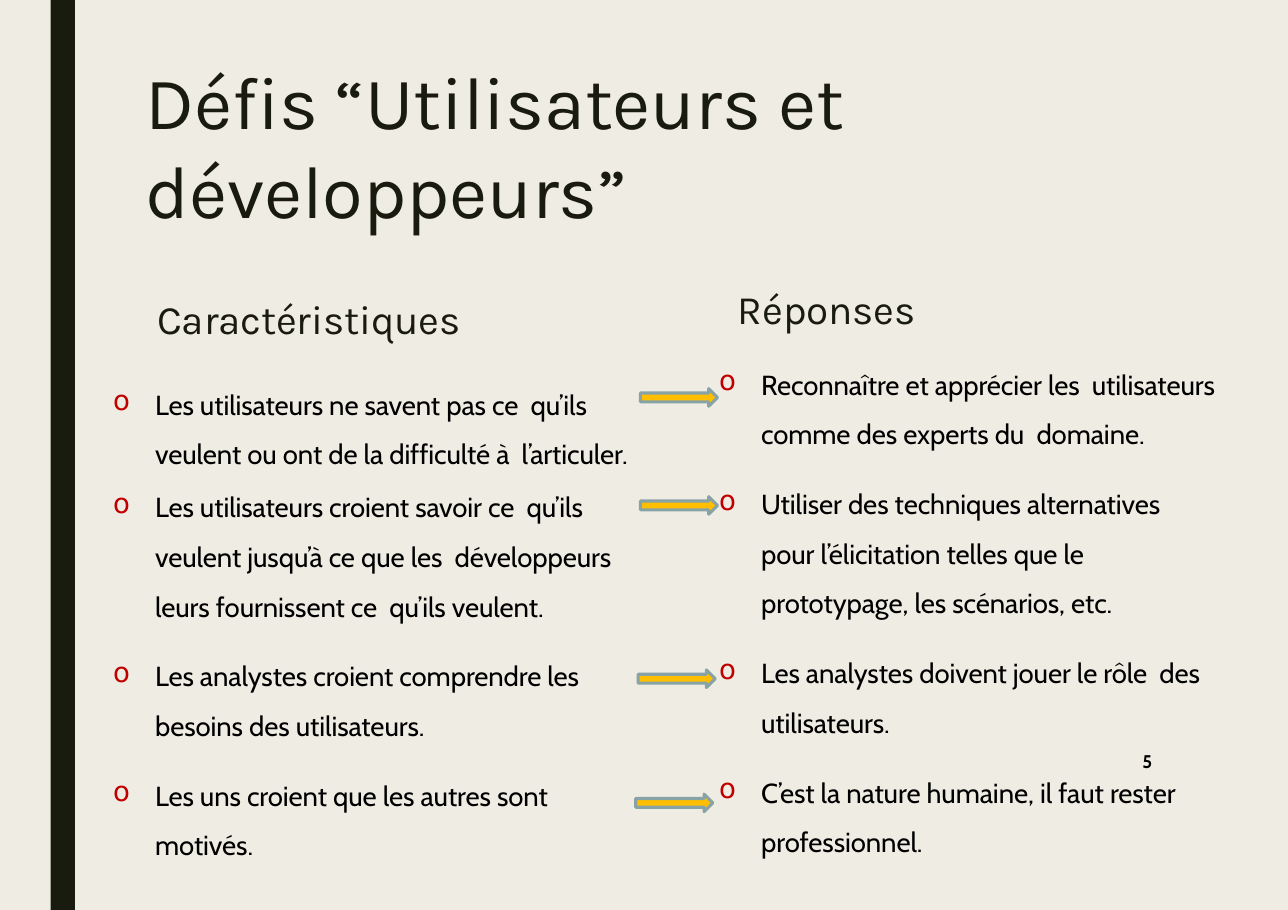
from lxml.etree import SubElement
from pptx import Presentation
from pptx.dml.color import RGBColor
from pptx.enum.shapes import MSO_SHAPE as Preset
from pptx.enum.text import MSO_ANCHOR as Anchor
from pptx.oxml.ns import qn
from pptx.util import Pt

INK, BLACK, RED = "191B0E", "000000", "C00000"
CREAM, GOLD, TEAL = "EFEDE3", "FFBF00", "88A3A6"
BULLET_INDENT = 28

# Each item: text, space before, right indent.
CHARACTERISTICS = [
    ("Les utilisateurs ne savent pas ce  qu’ils veulent ou ont de la "
     "difficulté à  l’articuler.", 12.3, 0),
    ("Les utilisateurs croient savoir ce  qu’ils veulent jusqu’à ce que "
     "les  développeurs leurs fournissent ce  qu’ils veulent.", 0.1, 0),
    ("Les analystes croient comprendre les besoins des utilisateurs.", 11, 0),
    ("Les uns croient que les autres sont motivés.", 11, 20),
]
RESPONSES = [
    ("Reconnaître et apprécier les  utilisateurs comme des experts du  "
     "domaine.", 10.1, 0),
    ("Utiliser des techniques alternatives pour l’élicitation telles que le "
     "prototypage, les scénarios, etc.", 11, 40),
    ("Les analystes doivent jouer le rôle  des utilisateurs.", 11, 0),
    ("C’est la nature humaine, il faut rester professionnel.", 11, 0),
]
# Left and top of the arrow beside each pair of items.
ARROWS = [(418.5, 254), (418.5, 324.6), (417, 437.8), (415.5, 519)]


def paint(color_format, color):
    """Give a fill or a font the colour written as a hex string."""
    if hasattr(color_format, "solid"):
        color_format.solid()
        color_format = color_format.fore_color
    else:
        color_format = color_format.color
    color_format.rgb = RGBColor.from_string(color)


def add_frame(slide, left, top, width, height, insets=(0, 0),
              anchor=Anchor.TOP):
    """Add a wrapping text box with side and top insets; return its frame."""
    box = slide.shapes.add_textbox(Pt(left), Pt(top), Pt(width), Pt(height))
    frame = box.text_frame
    frame.word_wrap = True
    frame.vertical_anchor = anchor
    frame.margin_left = frame.margin_right = Pt(insets[0])
    frame.margin_top = Pt(insets[1])
    frame.margin_bottom = Pt(insets[0] / 2)
    return frame


def add_run(paragraph, text, size, font, color, bold=False, spacing=0):
    """Add a run; spacing is in hundredths of a point."""
    run = paragraph.add_run()
    run.text = text
    run.font.size, run.font.name, run.font.bold = Pt(size), font, bold
    paint(run.font, color)
    run.font._element.set("spc", str(spacing))


def add_heading(slide, text, left, top):
    """Add a column heading that stands on the bottom of its box."""
    frame = add_frame(slide, left, top, 307.5, 44.6, (7.2, 3.6), Anchor.BOTTOM)
    heading = frame.paragraphs[0]
    heading.line_spacing = 0.84
    add_run(heading, text, 26.4, "Karla", INK, spacing=-10)


def set_bullet(paragraph, right_indent):
    """Hang a red round bullet before the paragraph."""
    properties = paragraph._p.get_or_add_pPr()
    properties.set("marL", str(Pt(BULLET_INDENT)))
    properties.set("indent", str(-Pt(BULLET_INDENT - 0.5)))
    properties.set("marR", str(Pt(right_indent)))
    bullet_color = SubElement(properties, qn("a:buClr"))
    SubElement(bullet_color, qn("a:srgbClr"), val=RED)
    SubElement(properties, qn("a:buChar"), char="o")


def add_bullets(slide, items, left, top, width, height, top_inset):
    """Add a column of bulleted items."""
    frame = add_frame(slide, left, top, width, height, (0, top_inset))
    for index, (text, before, right_indent) in enumerate(items):
        item = frame.add_paragraph() if index else frame.paragraphs[0]
        item.line_spacing = 1.5
        item.space_before, item.space_after = Pt(before), Pt(2.2)
        set_bullet(item, right_indent)
        add_run(item, text, 18, "Cabin", BLACK, spacing=-5)


def add_block(slide, preset, left, top, width, height, color, outline=None):
    """Add a filled preset shape, outlined if a colour is given."""
    block = slide.shapes.add_shape(preset, Pt(left), Pt(top), Pt(width),
                                   Pt(height))
    block.shadow.inherit = False
    paint(block.fill, color)
    if outline:
        paint(block.line.fill, outline)
        block.line.width = Pt(2)
    else:
        block.line.fill.background()


def main():
    """Build the slide and save it."""
    deck = Presentation()
    deck.slide_width, deck.slide_height = Pt(841.7), Pt(594.7)
    slide = deck.slides.add_slide(deck.slide_layouts[6])
    paint(slide.background.fill, CREAM)
    add_block(slide, Preset.RECTANGLE, 33.1, 0, 15.8, 594.7, INK)

    title = add_frame(slide, 95, 35.3, 663, 129, (0, 0.7)).paragraphs[0]
    title.space_before = Pt(1)
    add_run(title, "Défis “Utilisateurs et développeurs”", 48.5, "Karla", INK,
            spacing=-10)

    add_heading(slide, "Caractéristiques", 95.8, 182.9)
    add_bullets(slide, CHARACTERISTICS, 73.4, 231.8, 360, 329.8, 10.8)
    add_heading(slide, "Réponses", 475.2, 176.4)
    add_bullets(slide, RESPONSES, 469.4, 221, 347.8, 339, 8.6)

    for left, top in ARROWS:
        add_block(slide, Preset.RIGHT_ARROW, left, top, 50.4, 11.5, GOLD, TEAL)

    number = add_frame(slide, 746.6, 489.6, 8, 16.6, (0, 0.7)).paragraphs[0]
    number.space_before = Pt(1)
    add_run(number, "5", 12, "Cabin", BLACK, bold=True)
    deck.save("out.pptx")


main()
